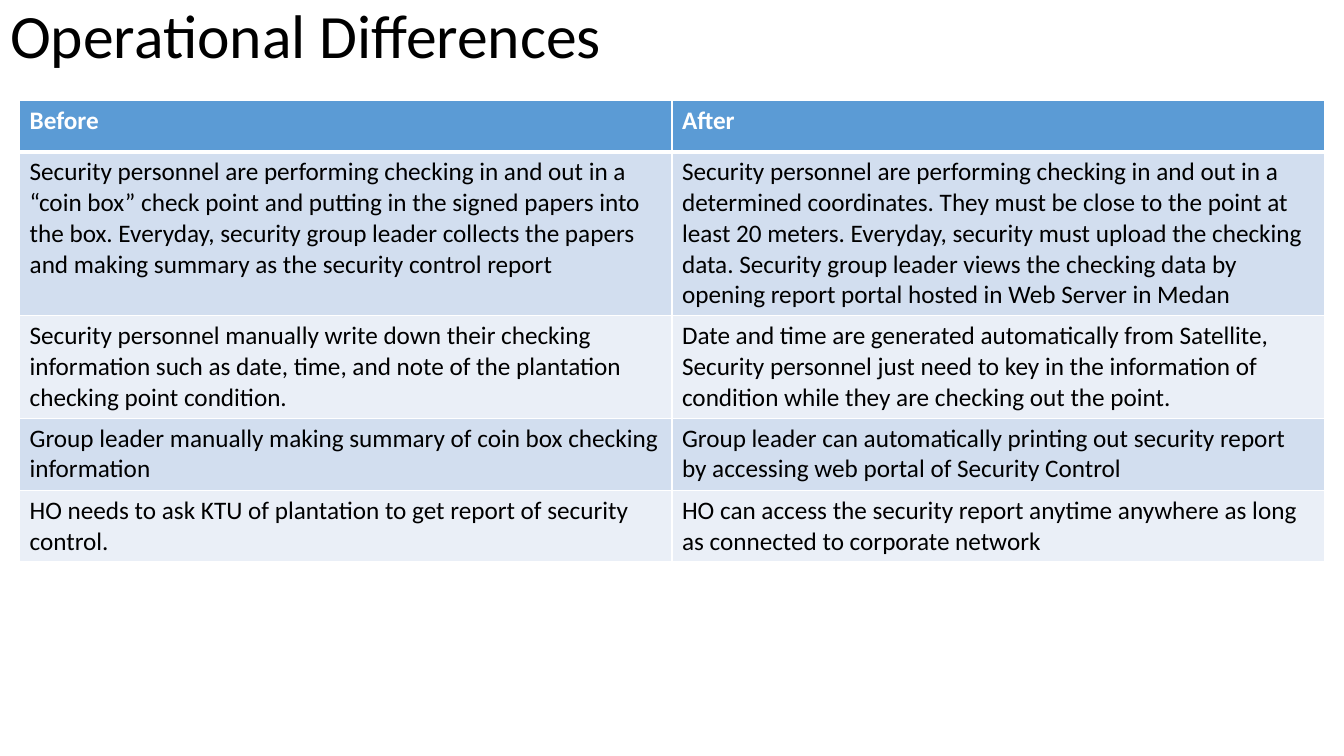
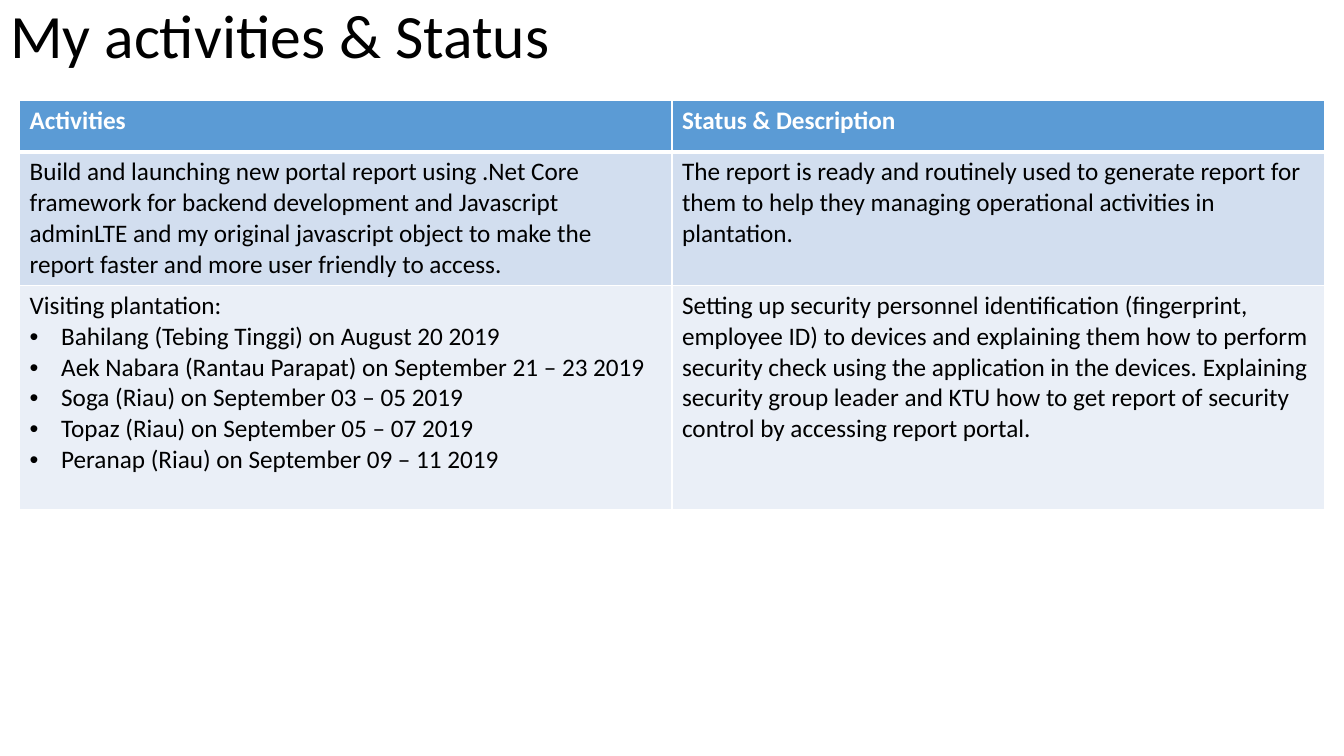
"""Build two slides that each hold a title and a two-column table."""
from lxml import etree
from pptx import Presentation
from pptx.dml.color import RGBColor
from pptx.enum import text
from pptx.oxml import ns
from pptx.util import Pt

COLORS = {"header": "5B9BD5", "odd": "D2DEEF", "even": "EAEFF7",
          "white": "FFFFFF", "black": "000000"}
TITLE_FONT = {"name": "Calibri", "size": Pt(44), "bold": False}
HEADER_FONT = {"name": "Calibri", "size": Pt(18), "bold": True}
BODY_FONT = {**HEADER_FONT, "bold": False}
TITLE_FRAME = {"word_wrap": True, "vertical_anchor": text.MSO_ANCHOR.TOP,
               "auto_size": text.MSO_AUTO_SIZE.NONE}
TITLE_BOX = {"left": Pt(0), "top": Pt(0), "width": Pt(960), "height": Pt(73.5)}
TABLE_LEFT, TABLE_TOP, COLUMN_WIDTH = 14, 72, 466
BULLET = "• "
BULLET_INDENT = Pt(22.5)

DIFFERENCES = [
    ("Before", "After"),
    ("Security personnel are performing checking in and out in a “coin box” check point "
     "and putting in the signed papers into the box. Everyday, security group leader "
     "collects the papers and making summary as the security control report",
     "Security personnel are performing checking in and out in a determined coordinates. "
     "They must be close to the point at least 20 meters. Everyday, security must upload "
     "the checking data. Security group leader views the checking data by opening report "
     "portal hosted in Web Server in Medan"),
    ("Security personnel manually write down their checking information such as date, "
     "time, and note of the plantation checking point condition.",
     "Date and time are generated automatically from Satellite, Security personnel just "
     "need to key in the information of condition while they are checking out the point."),
    ("Group leader manually making summary of coin box checking information",
     "Group leader can automatically printing out security report by accessing web portal "
     "of Security Control"),
    ("HO needs to ask KTU of plantation to get report of security control.",
     "HO can access the security report anytime anywhere as long as connected to corporate "
     "network"),
]
ACTIVITIES = [
    ("Activities", "Status & Description"),
    ("Build and launching new portal report using .Net Core framework for backend "
     "development and Javascript adminLTE and my original javascript object to make the "
     "report faster and more user friendly to access.",
     "The report is ready and routinely used to generate report for them to help they "
     "managing operational activities in plantation."),
    ("Visiting plantation:\n"
     "• Bahilang (Tebing Tinggi) on August 20 2019\n"
     "• Aek Nabara (Rantau Parapat) on September 21 – 23 2019\n"
     "• Soga (Riau) on September 03 – 05 2019\n"
     "• Topaz (Riau) on September 05 – 07 2019\n"
     "• Peranap (Riau) on September 09 – 11 2019",
     "Setting up security personnel identification (fingerprint, employee ID) to devices "
     "and explaining them how to perform security check using the application in the "
     "devices. Explaining security group leader and KTU how to get report of security "
     "control by accessing report portal."),
]
SLIDES = [
    ("Operational Differences", DIFFERENCES, [36.5, 117, 73, 51.5, 51]),
    ("My activities & Status", ACTIVITIES, [36.5, 95.5, 160]),
]


def apply(obj, values):
    """Set every attribute named in a dict."""
    for name, value in values.items():
        setattr(obj, name, value)


def add_run(p, content, font, color):
    """Add one formatted run to a paragraph."""
    r = p.add_run()
    r.text = content
    apply(r.font, font)
    r.font.color.rgb = RGBColor.from_string(COLORS[color])


def add_title(slide, content):
    """Place and format the title placeholder."""
    sp = slide.shapes.title
    apply(sp, TITLE_BOX)
    tf = sp.text_frame
    apply(tf, TITLE_FRAME)
    p = tf.paragraphs[0]
    apply(p, {"alignment": text.PP_ALIGN.LEFT, "line_spacing": 0.9})
    add_run(p, content, TITLE_FONT, "black")


def set_bullet(p):
    """Give a paragraph a hanging bullet."""
    pPr = p._p.get_or_add_pPr()
    pPr.set("marL", str(BULLET_INDENT))
    pPr.set("indent", str(-BULLET_INDENT))
    etree.SubElement(pPr, ns.qn("a:buFont"), typeface="Arial")
    etree.SubElement(pPr, ns.qn("a:buChar"), char=BULLET.strip())


def set_borders(cell, widths):
    """Draw white cell borders with the given widths by side."""
    tcPr = cell._tc.get_or_add_tcPr()
    for i, (side, width) in enumerate(widths.items()):
        ln = etree.Element(ns.qn(f"a:ln{side}"), w=str(Pt(width)))
        fill = etree.SubElement(ln, ns.qn("a:solidFill"))
        etree.SubElement(fill, ns.qn("a:srgbClr"), val=COLORS["white"])
        tcPr.insert(i, ln)


def fill_cell(cell, content, row):
    """Write a cell's paragraphs and style it by its row."""
    font, color = (BODY_FONT, "black") if row else (HEADER_FONT, "white")
    band = ("odd" if row % 2 else "even") if row else "header"
    cell.fill.solid()
    cell.fill.fore_color.rgb = RGBColor.from_string(COLORS[band])
    set_borders(cell, {"L": 1, "R": 1, "T": 3 if row == 1 else 1, "B": 1 if row else 3})
    tf = cell.text_frame
    for i, line in enumerate(content.split("\n")):
        p = tf.add_paragraph() if i else tf.paragraphs[0]
        if line.startswith(BULLET):
            set_bullet(p)
        add_run(p, line.removeprefix(BULLET), font, color)


def add_table(slide, rows, heights):
    """Add a table with equal columns and the given row heights."""
    columns = len(rows[0])
    table = slide.shapes.add_table(
        len(rows), columns, Pt(TABLE_LEFT), Pt(TABLE_TOP),
        Pt(COLUMN_WIDTH * columns), Pt(sum(heights))).table
    for column in table.columns:
        column.width = Pt(COLUMN_WIDTH)
    for i, (row, height) in enumerate(zip(rows, heights)):
        table.rows[i].height = Pt(height)
        for j, content in enumerate(row):
            fill_cell(table.cell(i, j), content, i)


def main():
    """Build and save the presentation."""
    prs = Presentation()
    apply(prs, {"slide_width": Pt(960), "slide_height": Pt(540)})
    for title, rows, heights in SLIDES:
        slide = prs.slides.add_slide(prs.slide_layouts[5])
        add_title(slide, title)
        add_table(slide, rows, heights)
    prs.save("out.pptx")


if __name__ == "__main__":
    main()
